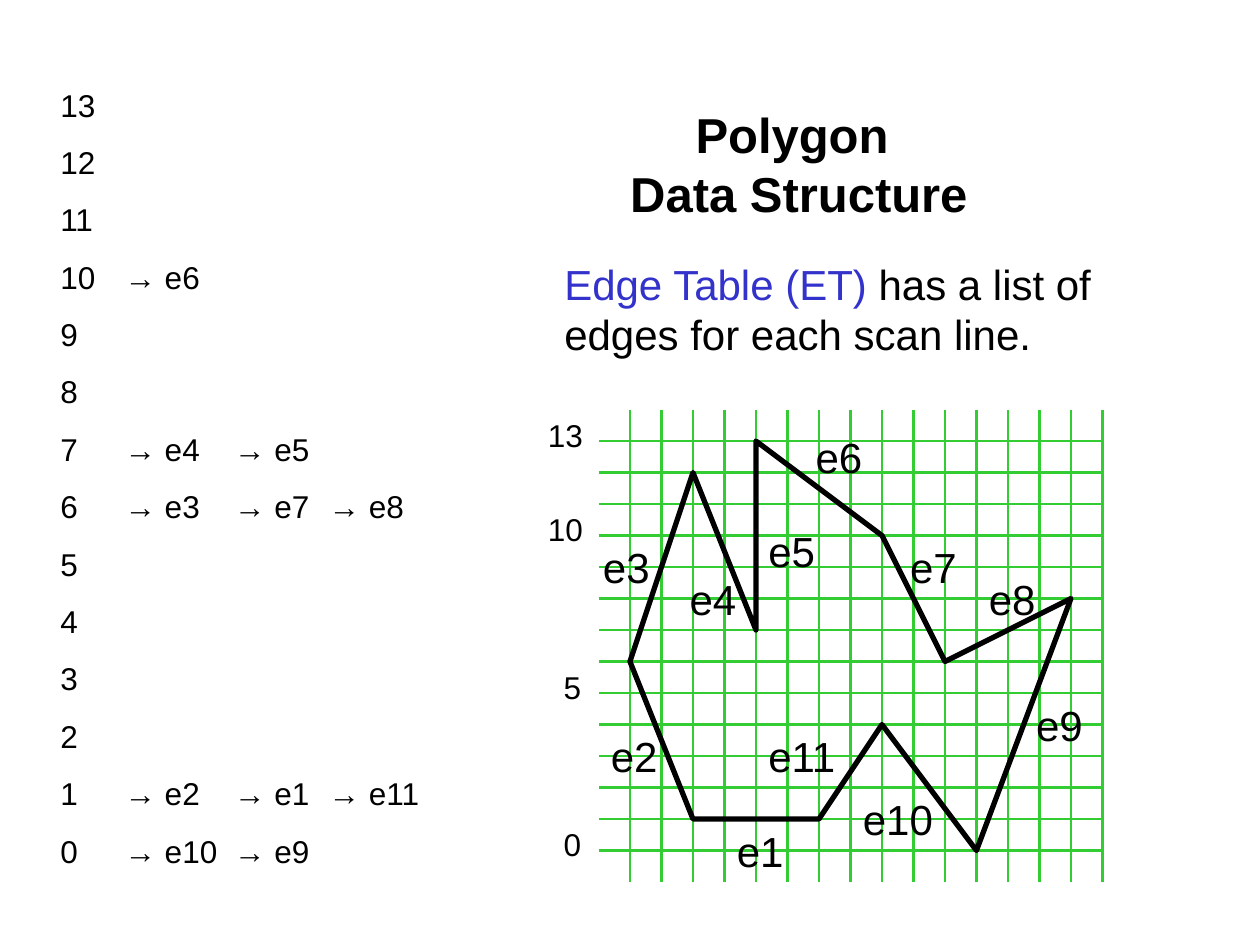
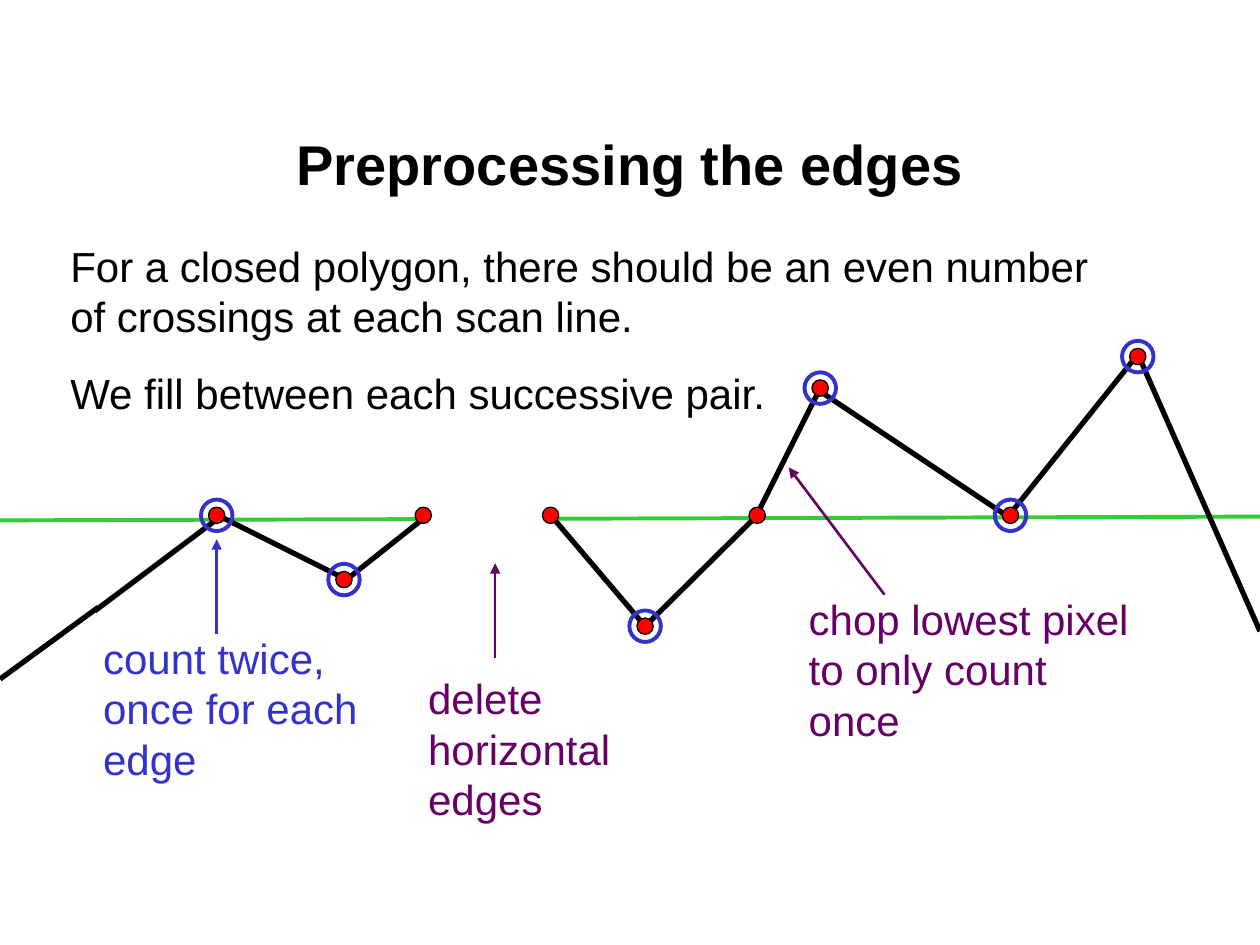
from dataclasses import dataclass

from lxml import etree
from pptx import Presentation
from pptx.dml.color import RGBColor
from pptx.enum.shapes import MSO_CONNECTOR, MSO_SHAPE
from pptx.enum.text import MSO_ANCHOR, PP_ALIGN
from pptx.oxml.ns import qn
from pptx.util import Cm, Pt

STRAIGHT = MSO_CONNECTOR.STRAIGHT
OVAL, RECTANGLE = MSO_SHAPE.OVAL, MSO_SHAPE.RECTANGLE
LEFT, CENTER = PP_ALIGN.LEFT, PP_ALIGN.CENTER
TOP, MIDDLE = MSO_ANCHOR.TOP, MSO_ANCHOR.MIDDLE


@dataclass(frozen=True)
class Theme:
    font: str = "Arial"
    ink: str = "000000"
    paper: str = "FFFFFF"
    blue: str = "3333CC"
    green: str = "33CC33"
    purple: str = "660066"
    red: str = "FF0000"
    wide_title: int = 32
    title: int = 28
    body: int = 24
    small: int = 18
    thick: float = 3
    medium: float = 2.25
    thin: float = 1.5
    hairline: float = 0.75


THEME = Theme()

# Content of slide 1: scan lines, and a polygon in (column, row) grid units
EDGE_TABLE = {
    10: ["e6"],
    7: ["e4", "e5"],
    6: ["e3", "e7", "e8"],
    1: ["e2", "e1", "e11"],
    0: ["e10", "e9"],
}
TOP_SCAN_LINE, LAST_COLUMN = 13, 16
EDGE_TABLE_TABS = [0.51, 1.38, 2.13]
POLYGON = [(3, 1), (7, 1), (9, 4), (12, 0), (15, 8), (11, 6),
           (9, 10), (5, 13), (5, 7), (3, 12), (1, 6)]
EDGE_LABELS = {
    "e1": (4, 1), "e2": (0, 4), "e3": (-0.25, 10), "e4": (2.5, 9),
    "e5": (5, 10.5), "e6": (6.5, 13.5), "e7": (9.5, 10), "e8": (12, 9),
    "e9": (13.5, 5), "e10": (8, 2), "e11": (5, 4),
}
LABELLED_ROWS = [0, 5, 10, 13]
GRID_LEFT, GRID_BOTTOM, GRID_CELL = 4.75, 6.75, 0.25

# Content of slide 2, in inches
SCAN_LINE = ((0, 4.13), (10, 4.1))
OUTLINE = [(0.75, 4.85), (1.75, 4.1), (2.75, 4.6), (3.38, 4.1), (4.38, 4.1),
           (5.12, 4.97), (6, 4.1), (6.5, 3.1), (8, 4.1), (9, 2.85)]
OUTLINE_ENDS = [((0.78, 4.82), (0, 5.39)), ((10, 5.01), (9.03, 2.81))]
TURNING_POINTS = [(1.72, 4.09), (2.73, 4.6), (5.12, 4.97),
                  (6.51, 3.08), (8.02, 4.09), (9.03, 2.83)]
PASSING_POINTS = [(3.36, 4.09), (4.37, 4.09), (6.01, 4.09)]
DELETED_EDGE = (3.36, 3.9, 1.01, 0.44)
NOTES = [
    ("count twice, once for each edge", (0.72, 4.97, 2.33, 1.3),
     ((1.72, 5.03), (1.72, 4.28)), THEME.blue),
    ("chop lowest pixel to only count once", (6.32, 4.66, 2.9, 1.3),
     ((7.02, 4.72), (6.26, 3.71)), THEME.purple),
    ("delete horizontal edges", (3.3, 5.29, 2.14, 1.3),
     ((3.93, 5.22), (3.93, 4.47)), THEME.purple),
]
CROSSING_RULES = ["For a closed polygon, there should be an even number "
                  "of crossings at each scan line.",
                  "We fill between each successive pair."]
DOT_SIZE, RING_SIZE = 0.13, 0.25


def length(inches):
    return Cm(inches * 2.54)


def lengths(values):
    return [length(value) for value in values]


def grid_point(column, row):
    return GRID_LEFT + column * GRID_CELL, GRID_BOTTOM - row * GRID_CELL


def set_tabs(paragraph, positions):
    tab_list = etree.SubElement(paragraph._p.get_or_add_pPr(), qn("a:tabLst"))
    for position in positions:
        etree.SubElement(tab_list, qn("a:tab"), pos=str(length(position)), algn="l")


def add_text(slide, box, paragraphs, size=THEME.body, color=THEME.ink, bold=False,
             align=LEFT, anchor=TOP, space=15, tabs=()):
    """Each paragraph is a string or a list of (text, colour) runs."""
    frame = slide.shapes.add_textbox(*lengths(box)).text_frame
    frame.word_wrap = True
    frame.vertical_anchor = anchor
    for index, content in enumerate(paragraphs):
        paragraph = frame.add_paragraph() if index else frame.paragraphs[0]
        paragraph.alignment = align
        if index:
            paragraph.space_before = Pt(space)
        if tabs:
            set_tabs(paragraph, tabs)
        runs = [(content, color)] if isinstance(content, str) else content
        for text, run_color in runs:
            for number, line in enumerate(text.split("\n")):
                if number:
                    paragraph.add_line_break()
                run = paragraph.add_run()
                run.text = line
                run.font.name = THEME.font
                run.font.size = Pt(size)
                run.font.bold = bold
                run.font.color.rgb = RGBColor.from_string(run_color)


def add_title(slide, text, left, width, size):
    add_text(slide, (left, 0.67, width, 1.25), [text], size=size, bold=True,
             align=CENTER, anchor=MIDDLE)


def set_line(item, color, width):
    item.line.color.rgb = RGBColor.from_string(color)
    item.line.width = Pt(width)


def add_line(slide, start, end, color, width, arrow=False):
    connector = slide.shapes.add_connector(STRAIGHT, *lengths(start + end))
    set_line(connector, color, width)
    if arrow:
        etree.SubElement(connector.line._get_or_add_ln(), qn("a:tailEnd"), type="triangle")
    etree.SubElement(connector._element.spPr, qn("a:effectLst"))


def add_outline(slide, points, close):
    start, *others = [lengths(point) for point in points]
    builder = slide.shapes.build_freeform(*start)
    builder.add_line_segments(others, close=close)
    shape = builder.convert_to_shape()
    shape.shadow.inherit = False
    shape.fill.background()
    set_line(shape, THEME.ink, THEME.thick)


def add_shape(slide, kind, box, fill=None, line=None, width=0):
    shape = slide.shapes.add_shape(kind, *lengths(box))
    shape.shadow.inherit = False
    if fill:
        shape.fill.solid()
        shape.fill.fore_color.rgb = RGBColor.from_string(fill)
    else:
        shape.fill.background()
    if line:
        set_line(shape, line, width)
    else:
        shape.line.fill.background()


def add_circle(slide, center, size, **style):
    x, y = center
    add_shape(slide, OVAL, (x - size / 2, y - size / 2, size, size), **style)


def build_edge_table_slide(slide):
    add_title(slide, "Polygon \nData Structure", 3.43, 5.82, THEME.title)
    add_text(slide, (4.38, 2, 4.62, 0.9),
             [[("Edge Table (ET)", THEME.blue),
               (" has a list of edges for each scan line.", THEME.ink)]])

    # Grid
    for row in range(TOP_SCAN_LINE + 1):
        add_line(slide, grid_point(0, row), grid_point(LAST_COLUMN, row),
                 THEME.green, THEME.thin)
    for column in range(1, LAST_COLUMN + 1):
        add_line(slide, grid_point(column, -1), grid_point(column, TOP_SCAN_LINE + 1),
                 THEME.green, THEME.thin)

    # Polygon with its edge names and row numbers
    add_outline(slide, [grid_point(*vertex) for vertex in POLYGON], close=True)
    for name, corner in EDGE_LABELS.items():
        width = 0.63 if len(name) == 2 else 0.88
        add_text(slide, (*grid_point(*corner), width, 0.5), [name])
    for row in LABELLED_ROWS:
        column, width = (-1.5, 0.37) if row < 10 else (-2, 0.5)
        add_text(slide, (*grid_point(column, row + 1), width, 0.4), [str(row)],
                 size=THEME.small)

    # Edge table
    rows = ["\t→ ".join([str(row), *EDGE_TABLE.get(row, [])])
            for row in range(TOP_SCAN_LINE, -1, -1)]
    add_text(slide, (0.38, 0.63, 3.75, 6.33), rows, size=THEME.small, space=11.2,
             tabs=EDGE_TABLE_TABS)


def build_preprocessing_slide(slide):
    # Scan line and outline, with the deleted edge cut out
    add_line(slide, *SCAN_LINE, THEME.green, THEME.medium)
    add_outline(slide, OUTLINE, close=False)
    for start, end in OUTLINE_ENDS:
        add_line(slide, start, end, THEME.ink, THEME.thick)
    add_shape(slide, RECTANGLE, DELETED_EDGE, fill=THEME.paper)

    # Vertices
    for point in TURNING_POINTS + PASSING_POINTS:
        add_circle(slide, point, DOT_SIZE, fill=THEME.red, line=THEME.ink,
                   width=THEME.hairline)
    for point in TURNING_POINTS:
        add_circle(slide, point, RING_SIZE, line=THEME.blue, width=THEME.medium)

    # Wording
    add_title(slide, "Preprocessing the edges", 0.75, 8.5, THEME.wide_title)
    add_text(slide, (0.46, 1.86, 8.63, 1.51), CROSSING_RULES)
    for text, box, (start, end), color in NOTES:
        add_text(slide, box, [text], color=color)
        add_line(slide, start, end, color, THEME.thin, arrow=True)


def main():
    presentation = Presentation()
    presentation.slide_width, presentation.slide_height = Cm(25.4), Cm(19.05)
    blank = presentation.slide_layouts[6]
    for build in (build_edge_table_slide, build_preprocessing_slide):
        build(presentation.slides.add_slide(blank))
    presentation.save("out.pptx")


if __name__ == "__main__":
    main()
